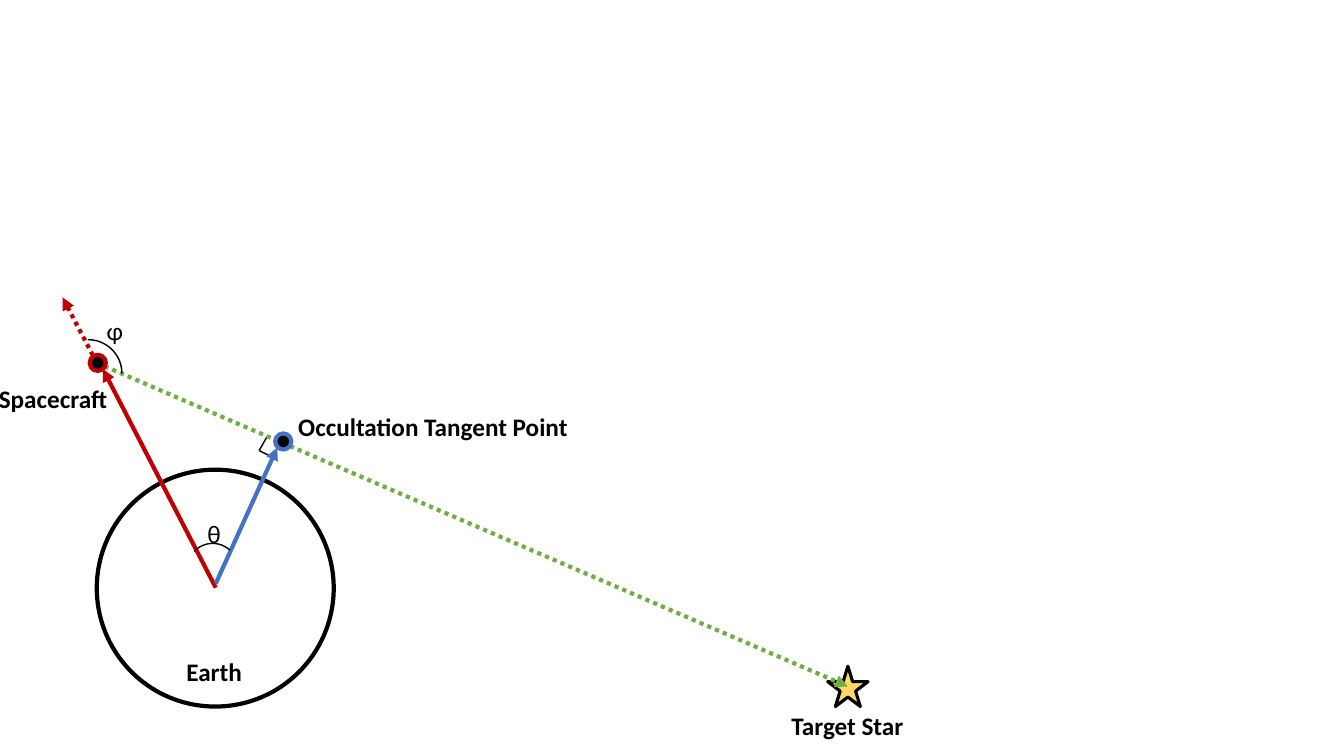
"""Draw the geometry of a stellar occultation seen from a spacecraft."""
from pptx import Presentation
from pptx import util as u
from pptx.dml.color import RGBColor
from pptx.enum import dml, shapes, text
from pptx.oxml.ns import qn
from lxml import etree

PX = 9144
BLACK = RGBColor(0x00, 0x00, 0x00)
RED = RGBColor(0xC0, 0x00, 0x00)
BLUE = RGBColor(0x44, 0x72, 0xC4)
GREEN = RGBColor(0x70, 0xAD, 0x47)
GOLD = RGBColor(0xFF, 0xD9, 0x66)
KIND = shapes.MSO_SHAPE


def add_line(slide, start, end, color=BLACK, width=1, dotted=False, arrow=False):
    """Draw a straight line, dotted or with an arrowhead on request."""
    ends = [u.Emu(n * PX) for n in (*start, *end)]
    line = slide.shapes.add_connector(shapes.MSO_CONNECTOR.STRAIGHT, *ends)
    line.line.color.rgb = color
    line.line.width = u.Pt(width)
    if dotted:
        line.line.dash_style = dml.MSO_LINE.ROUND_DOT
    if arrow:
        etree.SubElement(line.line._get_or_add_ln(), qn("a:tailEnd"), type="triangle")
    etree.SubElement(line._element.spPr, qn("a:effectLst"))


def add_mark(slide, kind, left, top, size, width, color=BLACK, fill=None, turn=0):
    """Draw an outlined preset shape in a square box."""
    box = [u.Emu(n * PX) for n in (left, top, size, size)]
    mark = slide.shapes.add_shape(kind, *box)
    mark.shadow.inherit = False
    mark.rotation = turn
    mark.line.color.rgb = color
    mark.line.width = u.Pt(width)
    if fill is None:
        mark.fill.background()
    else:
        mark.fill.solid()
        mark.fill.fore_color.rgb = fill


def add_label(slide, words, left, top, width, bold=True):
    """Write a one-line label."""
    box = [u.Emu(n * PX) for n in (left, top, width, 40)]
    frame = slide.shapes.add_textbox(*box).text_frame
    frame.word_wrap = False
    frame.auto_size = text.MSO_AUTO_SIZE.SHAPE_TO_FIT_TEXT
    frame.text = words
    font = frame.paragraphs[0].runs[0].font
    font.name = "Calibri"
    font.size = u.Pt(18)
    font.bold = bold
    font.color.rgb = BLACK


def main():
    """Build and save the slide."""
    deck = Presentation()
    deck.slide_width = u.Emu(1333 * PX)
    deck.slide_height = u.Emu(750 * PX)
    slide = deck.slides.add_slide(deck.slide_layouts[6])

    craft = (96, 360)
    corner = (257, 447)
    add_line(slide, (265, 433), corner)
    add_line(slide, corner, (273, 455))
    add_mark(slide, KIND.OVAL, 96, 466, 235, 3)
    add_line(slide, (214, 583), (102, 366), RED, 3, arrow=True)
    add_mark(slide, KIND.STAR_5_POINT, 821, 661, 40, 2.25, fill=GOLD)
    add_line(slide, craft, (841, 681), GREEN, 3, dotted=True, arrow=True)
    add_line(slide, (214, 579), (275, 444), BLUE, 3, arrow=True)
    add_line(slide, craft, (62, 295), RED, 3, dotted=True, arrow=True)
    add_mark(slide, KIND.ARC, 186, 539, 50, 1, turn=313.2)
    add_mark(slide, KIND.ARC, 54, 337, 67, 1)
    add_mark(slide, KIND.OVAL, 89, 352, 16, 3, RED, BLACK)
    add_mark(slide, KIND.OVAL, 273, 430, 16, 3, BLUE, BLACK)

    add_label(slide, "φ", 96, 308, 37, bold=False)
    add_label(slide, "θ", 196, 509, 34, bold=False)
    add_label(slide, "Earth", 175, 646, 76)
    add_label(slide, "Target Star", 775, 700, 132)
    add_label(slide, "Occultation Tangent Point", 286, 403, 290)
    add_label(slide, "Spacecraft", -11, 375, 129)
    deck.save("out.pptx")


if __name__ == "__main__":
    main()
